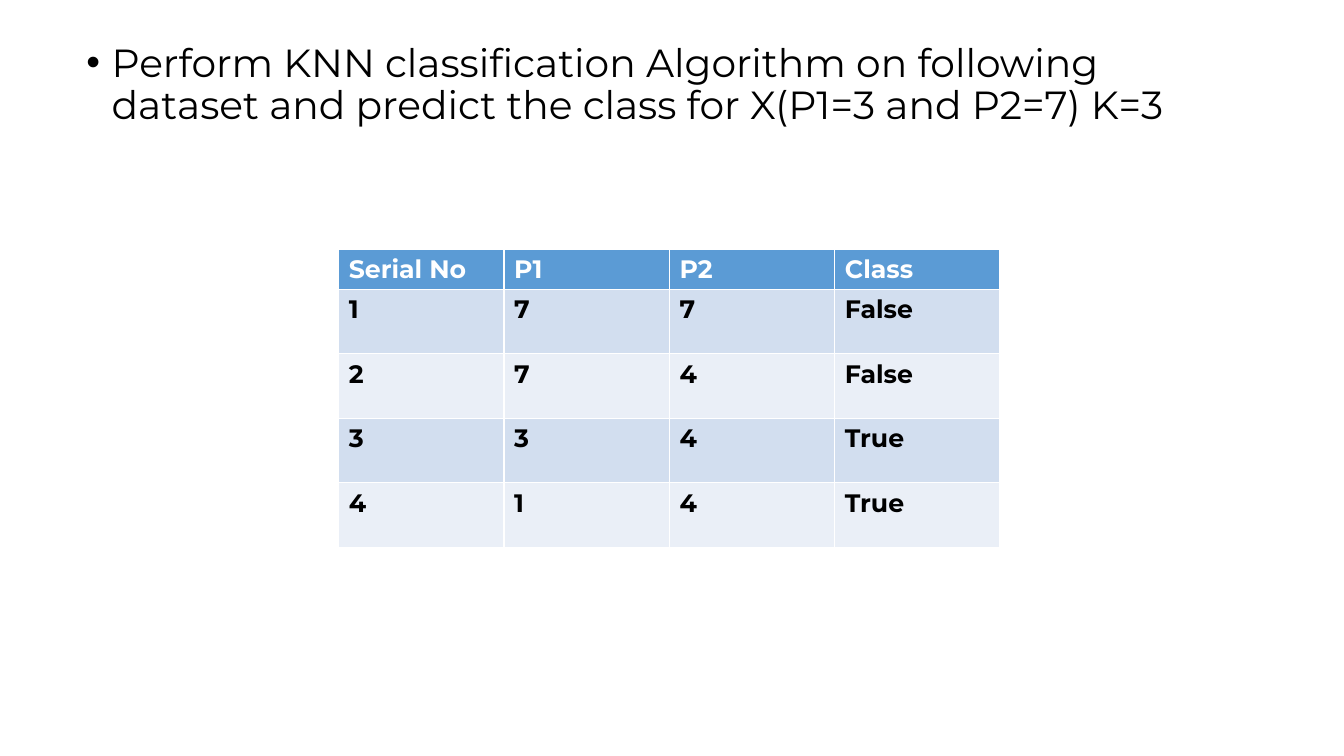
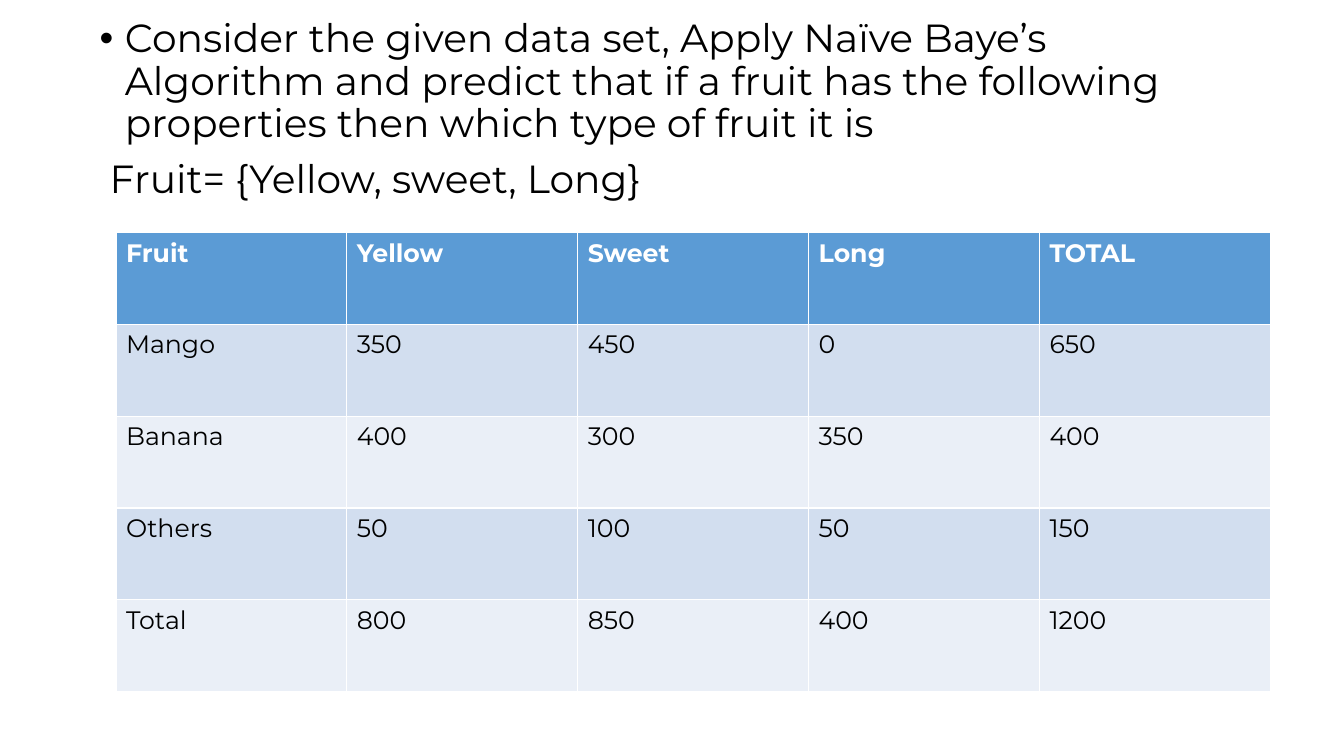
from lxml.etree import SubElement
from pptx import Presentation
from pptx.dml.color import RGBColor
from pptx.oxml.ns import qn
from pptx.util import Inches, Pt

COLORS = {
    "text": "000000",
    "header_text": "FFFFFF",
    "header": "5B9BD5",
    "odd_row": "D2DEEF",
    "even_row": "EAEFF7",
}
FONT = "Montserrat"
PARAGRAPH_FORMAT = {"line_spacing": 0.9, "space_before": Pt(10)}

SLIDES = [
    {
        "question_box": (0.76, 0.38, 11.77, 1.2),
        "question": "Perform KNN classification Algorithm on following dataset "
                    "and predict the class for X(P1=3 and P2=7) K=3",
        "condition": None,
        "table_at": (3.36, 2.47),
        "column_width": 1.64,
        "header_height": 0.4,
        "row_height": 0.64,
        "bold_body": True,
        "rows": [
            ["Serial No", "P1", "P2", "Class"],
            ["1", "7", "7", "False"],
            ["2", "7", "4", "False"],
            ["3", "3", "4", "True"],
            ["4", "1", "4", "True"],
        ],
    },
    {
        "question_box": (0.89, 0.14, 11.5, 2),
        "question": "Consider the given data set, Apply Naïve Baye’s Algorithm "
                    "and predict that if a fruit has the following properties "
                    "then which type of fruit it is",
        "condition": "Fruit= {Yellow, sweet, Long}",
        "table_at": (1.15, 2.31),
        "column_width": 2.29,
        "header_height": 0.91,
        "row_height": 0.91,
        "bold_body": False,
        "rows": [
            ["Fruit", "Yellow", "Sweet", "Long", "TOTAL"],
            ["Mango", "350", "450", "0", "650"],
            ["Banana", "400", "300", "350", "400"],
            ["Others", "50", "100", "50", "150"],
            ["Total", "800", "850", "400", "1200"],
        ],
    },
]


def write(paragraph, text, size, color, bold=False):
    run = paragraph.add_run()
    run.text = text
    for name, value in {"name": FONT, "size": Pt(size), "bold": bold}.items():
        setattr(run.font, name, value)
    run.font.color.rgb = RGBColor.from_string(COLORS[color])


def format_question(paragraph, left, bullet):
    for name, value in PARAGRAPH_FORMAT.items():
        setattr(paragraph, name, value)
    properties = paragraph._p.get_or_add_pPr()
    properties.set("marL", str(Inches(left)))
    properties.set("indent", str(Inches(-left if bullet else 0)))
    if bullet:
        SubElement(properties, qn("a:buFont"), typeface="Arial")
        SubElement(properties, qn("a:buChar"), char="•")


presentation = Presentation()
presentation.slide_width = Inches(13.33)
presentation.slide_height = Inches(7.5)

for content in SLIDES:
    slide = presentation.slides.add_slide(presentation.slide_layouts[6])

    frame = slide.shapes.add_textbox(*map(Inches, content["question_box"])).text_frame
    frame.word_wrap = True
    question = frame.paragraphs[0]
    format_question(question, 0.25, True)
    write(question, content["question"], 28, "text")
    if content["condition"]:
        condition = frame.add_paragraph()
        format_question(condition, 0.1, False)
        write(condition, content["condition"], 28, "text")

    rows = content["rows"]
    heights = [content["header_height"]] + [content["row_height"]] * (len(rows) - 1)
    left, top = content["table_at"]
    width = content["column_width"] * len(rows[0])
    table = slide.shapes.add_table(
        len(rows), len(rows[0]),
        Inches(left), Inches(top), Inches(width), Inches(sum(heights)),
    ).table
    for column in table.columns:
        column.width = Inches(content["column_width"])
    for row_index, values in enumerate(rows):
        table.rows[row_index].height = Inches(heights[row_index])
        is_header = row_index == 0
        fill = "header" if is_header else "odd_row" if row_index % 2 else "even_row"
        for column_index, value in enumerate(values):
            cell = table.cell(row_index, column_index)
            cell.fill.solid()
            cell.fill.fore_color.rgb = RGBColor.from_string(COLORS[fill])
            write(
                cell.text_frame.paragraphs[0], value, 18,
                "header_text" if is_header else "text",
                is_header or content["bold_body"],
            )

presentation.save("out.pptx")
